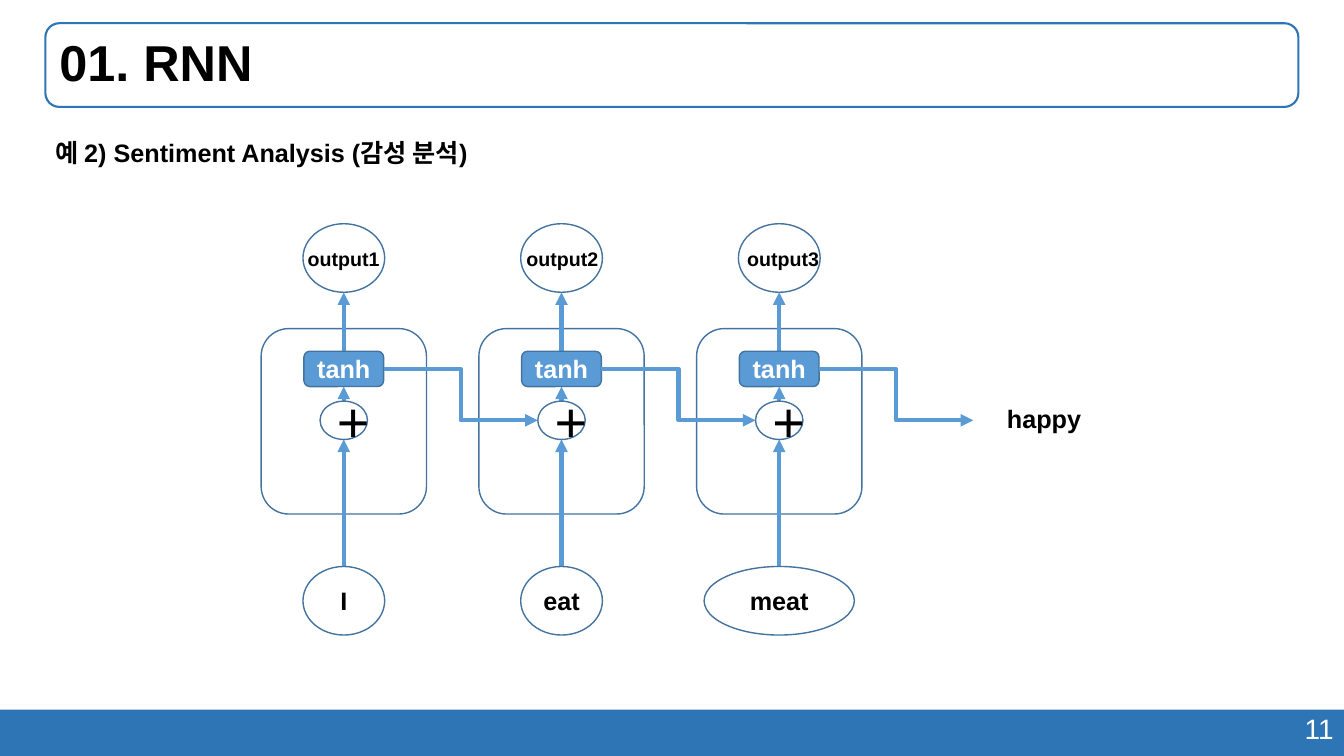
"""Draw an unrolled RNN that reads a sentence and names its mood."""
from lxml.etree import SubElement
from pptx import Presentation
from pptx.dml.color import RGBColor as Rgb
from pptx.enum.shapes import MSO_CONNECTOR as Link, MSO_SHAPE as Kind
from pptx.enum.text import MSO_ANCHOR as Anchor, PP_ALIGN as Align
from pptx.oxml.ns import qn
from pptx.util import Inches, Pt

WIDE, HIGH = Inches(13.33), Inches(7.5)
HUES = {"bar": "2E75B6", "edge": "43739E", "flow": "5B9BD5",
        "ink": "000000", "pale": "FFFFFF"}
LEFT, STEP = 25.58, 16.2
OUT, CELL, TANH, PLUS, WORD = 34.13, 55.73, 48.8, 55.6, 79.47
BALL, GATE, SUM = (6.08, 9.07), (5.93, 4.67), (3.53, 5.07)
STEPS = [("output1", 0, "I", 6.08), ("output2", 0.07, "eat", 6.08),
         ("output3", 0.3, "meat", 11.18)]


def hue(name):
    """Look up a colour by name."""
    return Rgb.from_string(HUES[name])


def spot(x, y):
    """Turn percent shares of the slide into lengths."""
    return round(WIDE * x / 100), round(HIGH * y / 100)


def write(item, text, size, bold=True, ink="ink", align=Align.CENTER):
    """Put one styled run into a shape and return its paragraph."""
    para = item.text_frame.paragraphs[0]
    para.alignment = align
    run = para.add_run()
    run.text = text
    font = run.font
    font.name, font.size, font.bold = "Arial", Pt(size), bold
    font.color.rgb = hue(ink)
    return para


def shape(page, kind, x, y, w, h, fill=None, edge="edge", line=1):
    """Add a preset shape by its left top corner."""
    item = page.shapes.add_shape(kind, *spot(x, y), *spot(w, h))
    item.shadow.inherit = False
    if fill:
        item.fill.solid()
        item.fill.fore_color.rgb = hue(fill)
    else:
        item.fill.background()
    if edge:
        item.line.color.rgb = hue(edge)
        item.line.width = Pt(line)
    else:
        item.line.fill.background()
    return item


def node(page, kind, x, y, size, fill=None):
    """Add a preset shape by its centre."""
    w, h = size
    return shape(page, kind, x - w / 2, y - h / 2, w, h, fill)


def label(page, x, y, w, h, wrap=False):
    """Add an empty text box."""
    item = page.shapes.add_textbox(*spot(x, y), *spot(w, h))
    item.text_frame.word_wrap = wrap
    return item


def arrow(page, start, end, kind=Link.STRAIGHT):
    """Add a flow arrow between two points."""
    item = page.shapes.add_connector(kind, *spot(*start), *spot(*end))
    item.line.color.rgb = hue("flow")
    item.line.width = Pt(3)
    SubElement(item.line._get_or_add_ln(), qn("a:tailEnd"), type="triangle")
    SubElement(item._element.spPr, qn("a:effectLst"))


def frame(page):
    """Draw the footer, page number, title and subtitle."""
    shape(page, Kind.RECTANGLE, 0, 93.87, 100, 6.13, "bar", None)
    write(label(page, 70.73, 93.47, 29.25, 5.87, True), "11", 20, False,
          "pale", Align.RIGHT)
    head = shape(page, Kind.ROUNDED_RECTANGLE, 3.38, 3.07, 93.23, 11.07,
                 edge="bar", line=1.5)
    head.text_frame.vertical_anchor = Anchor.MIDDLE
    write(head, "01. RNN", 36, align=Align.LEFT).line_spacing = 0.9
    write(label(page, 3.38, 17.47, 33.45, 5.33, True),
          "예 2) Sentiment Analysis (감성 분석)", 18, align=Align.LEFT)


def step(page, mid, out, shift, word, width):
    """Draw one time step of the network around its centre line."""
    node(page, Kind.ROUNDED_RECTANGLE, mid, CELL, (12.3, 24.53))
    stops = [(WORD, BALL), (PLUS, SUM), (TANH, GATE), (OUT, BALL)]
    for (low, base), (top, goal) in zip(stops, stops[1:]):
        arrow(page, (mid, low - base[1] / 2), (mid, top + goal[1] / 2))
    node(page, Kind.OVAL, mid, OUT, BALL)
    write(node(page, Kind.OVAL, mid, PLUS, SUM), "+", 40, False)
    write(node(page, Kind.ROUNDED_RECTANGLE, mid, TANH, GATE, "flow"),
          "tanh", 18, ink="pale")
    write(node(page, Kind.OVAL, mid, WORD, (width, BALL[1])), word, 18)
    write(label(page, mid + shift - 3.45, 32, 6.9, 4.53), out, 14)


def main():
    """Build and save the slide."""
    deck = Presentation()
    deck.slide_width, deck.slide_height = WIDE, HIGH
    page = deck.slides.add_slide(deck.slide_layouts[6])
    frame(page)
    mids = [LEFT + STEP * i for i in range(len(STEPS))]
    for mid, parts in zip(mids, STEPS):
        step(page, mid, *parts)
    for mid in mids:
        arrow(page, (mid + GATE[0] / 2, TANH),
              (mid + STEP - SUM[0] / 2, PLUS), Link.ELBOW)
    write(label(page, 74.12, 52.67, 7.13, 5.33), "happy", 18)
    deck.save("out.pptx")


if __name__ == "__main__":
    main()
